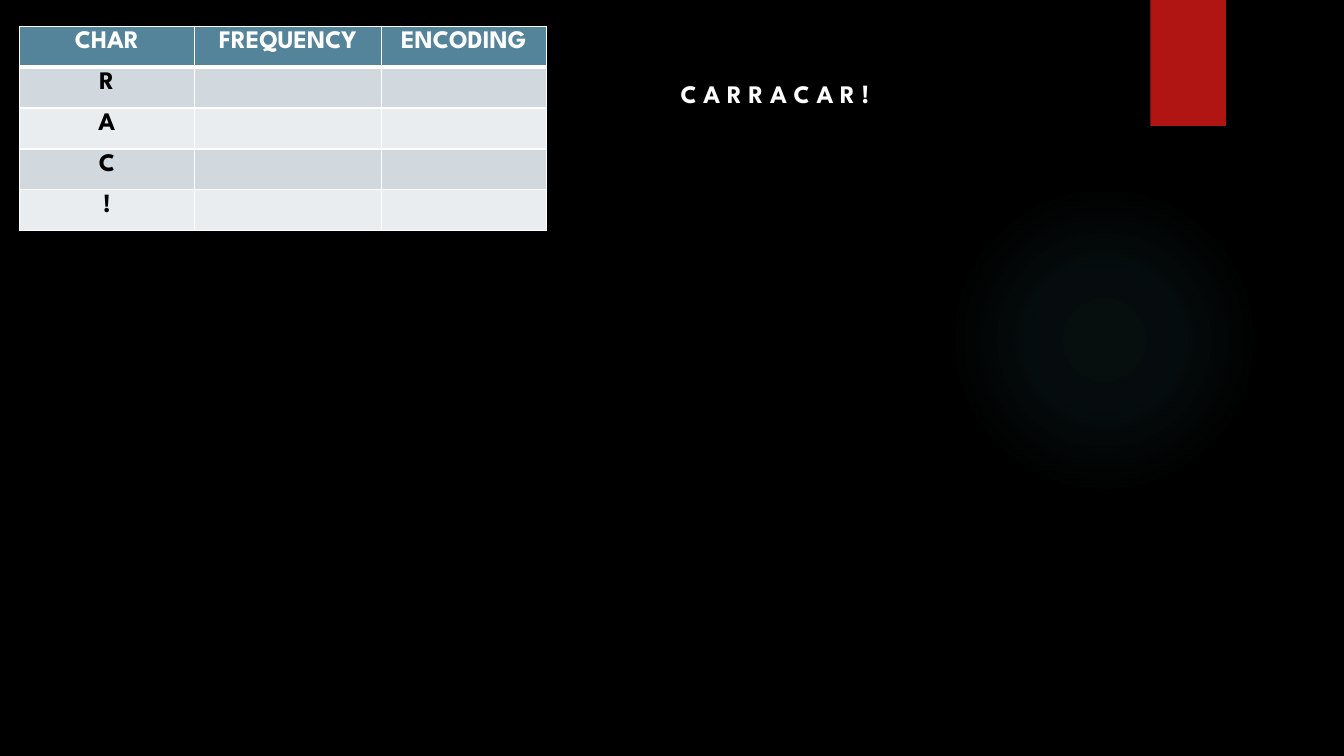
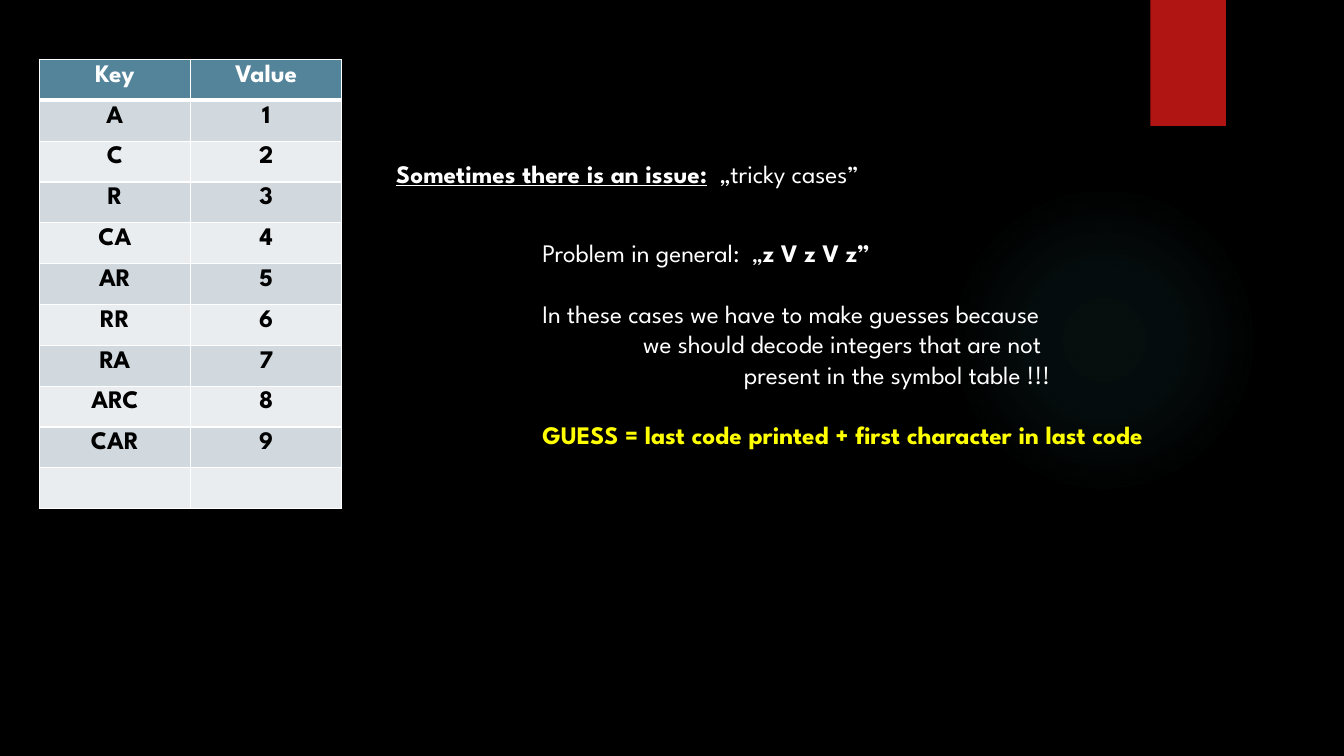
from lxml import etree
from pptx import Presentation
from pptx.dml.color import RGBColor
from pptx.enum.shapes import MSO_SHAPE as Preset
from pptx.enum.text import MSO_ANCHOR as Anchor, PP_ALIGN as Align
from pptx.oxml import parse_xml
from pptx.oxml.ns import nsdecls, qn
from pptx.util import Inches, Pt

FONT = "League Spartan"
BLACK, WHITE, YELLOW = "000000", "FFFFFF", "FFFF00"
RED, GLOW = "B01513", "50B9C1"
HEADER, BAND_DARK, BAND_LIGHT = "54849A", "D1D9DE", "E9EDEF"
GLOW_STOPS = [(0, 7), (36, 6), (69, 0)]  # position and opacity, percent

FREQUENCIES = [
    ("CHAR", "FREQUENCY", "ENCODING"),
    ("R", "", ""), ("A", "", ""), ("C", "", ""), ("!", "", ""),
]
SYMBOLS = ["A", "C", "R", "CA", "AR", "RR", "RA", "ARC", "CAR"]
SYMBOL_TABLE = [
    ("Key", "Value"),
    *((symbol, str(code)) for code, symbol in enumerate(SYMBOLS, 1)),
    ("", ""),
]

# Each paragraph: indent in inches, space before in points, runs.
# Each run: text, then its font settings.
WORD = [(0, 0, [("C A R R A C A R !", {"bold": True})])]
ISSUE = [(0, 0, [
    ("Sometimes there is an issue:", {"bold": True, "underline": True}),
    ("  „tricky cases”", {}),
])]
EXPLANATION = [
    (0, 0, [("Problem in general:  „", {}), ("z V z V z”", {"bold": True})]),
    (0, 21.7, [("In these cases we have to make guesses because", {})]),
    (1, 0, [("we should decode integers that are not", {})]),
    (2, 0, [("present in the symbol table !!!", {})]),
    (0, 21.7, [("GUESS = last code printed + first character in last code",
                {"bold": True, "color": YELLOW})]),
]


def rgb(color):
    return RGBColor.from_string(color)


def format_run(run, color=WHITE, bold=False, underline=False):
    font = run.font
    font.name, font.size = FONT, Pt(18)
    font.bold, font.underline = bold, underline
    font.color.rgb = rgb(color)


def write(shape, box, paragraphs):
    """Place a text shape and fill it with formatted paragraphs."""
    shape.left, shape.top, shape.width, shape.height = map(Inches, box)
    frame = shape.text_frame
    frame.word_wrap = True
    frame.vertical_anchor = Anchor.TOP
    for index, (indent, space, runs) in enumerate(paragraphs):
        paragraph = frame.add_paragraph() if index else frame.paragraphs[0]
        paragraph.alignment = Align.LEFT
        paragraph.space_before = Pt(space)
        paragraph._p.get_or_add_pPr().set("marL", str(Inches(indent)))
        for text, style in runs:
            run = paragraph.add_run()
            run.text = text
            format_run(run, **style)


def set_borders(cell, top, bottom):
    """Draw white cell borders; top and bottom are widths in points."""
    properties = cell._tc.get_or_add_tcPr()
    for side, width in (("L", 1), ("R", 1), ("T", top), ("B", bottom)):
        line = etree.SubElement(properties, qn(f"a:ln{side}"), w=str(Pt(width)))
        fill = etree.SubElement(line, qn("a:solidFill"))
        etree.SubElement(fill, qn("a:srgbClr"), val=WHITE)


def add_grid(slide, rows, left, top, height, widths):
    table = slide.shapes.add_table(
        len(rows), len(widths), Inches(left), Inches(top),
        Inches(sum(widths)), Inches(height)).table
    for column, width in zip(table.columns, widths):
        column.width = Inches(width)
    for r, row in enumerate(rows):
        fill = HEADER if r == 0 else BAND_DARK if r % 2 else BAND_LIGHT
        for c, text in enumerate(row):
            cell = table.cell(r, c)
            set_borders(cell, 3 if r == 1 else 1, 3 if r == 0 else 1)
            cell.fill.solid()
            cell.fill.fore_color.rgb = rgb(fill)
            cell.text_frame.text = text
            paragraph = cell.text_frame.paragraphs[0]
            paragraph.alignment = Align.CENTER
            for run in paragraph.runs:
                format_run(run, BLACK if r else WHITE, bold=True)


def decorate(layout, slide):
    """Draw the glow and the red tab, then move them to the layout."""
    def add_plain(preset, *box):
        shape = slide.shapes.add_shape(preset, *map(Inches, box))
        shape.shadow.inherit = False
        shape.line.fill.background()
        shape.fill.solid()
        shape.fill.fore_color.rgb = rgb(RED)
        layout.shapes.element.append(shape.element)
        return shape

    glow = add_plain(Preset.OVAL, 9.41, 1.83, 3.08, 3.08)
    stops = "".join(
        f'<a:gs pos="{position * 1000}"><a:srgbClr val="{GLOW}">'
        f'<a:alpha val="{opacity * 1000}"/></a:srgbClr></a:gs>'
        for position, opacity in GLOW_STOPS)
    gradient = parse_xml(
        f'<a:gradFill {nsdecls("a")}><a:gsLst>{stops}</a:gsLst>'
        '<a:path path="circle"><a:fillToRect l="50000" t="50000" '
        'r="50000" b="50000"/></a:path></a:gradFill>')
    properties = glow.element.spPr
    properties.replace(properties.find(qn("a:solidFill")), gradient)
    add_plain(Preset.RECTANGLE, 11.41, 0, 0.75, 1.25)


def main():
    deck = Presentation()
    deck.slide_width, deck.slide_height = Inches(13.33), Inches(7.5)
    background = deck.slide_master.background.fill
    background.solid()
    background.fore_color.rgb = rgb(BLACK)
    layout = deck.slide_layouts.get_by_name("Title Only")

    frequencies = deck.slides.add_slide(layout)
    decorate(layout, frequencies)
    add_grid(frequencies, FREQUENCIES, 0.19, 0.26, 2.03, [1.74, 1.85, 1.64])
    write(frequencies.shapes.title, (6.65, 0.73, 2.27, 0.4), WORD)

    tricky = deck.slides.add_slide(layout)
    add_grid(tricky, SYMBOL_TABLE, 0.39, 0.59, 4.46, [1.5, 1.5])
    write(tricky.shapes.title, (3.83, 1.52, 5.35, 0.4), ISSUE)
    explanation = tricky.shapes.add_textbox(0, 0, 0, 0)
    write(explanation, (5.28, 2.31, 6.82, 2.22), EXPLANATION)

    deck.save("out.pptx")


if __name__ == "__main__":
    main()
